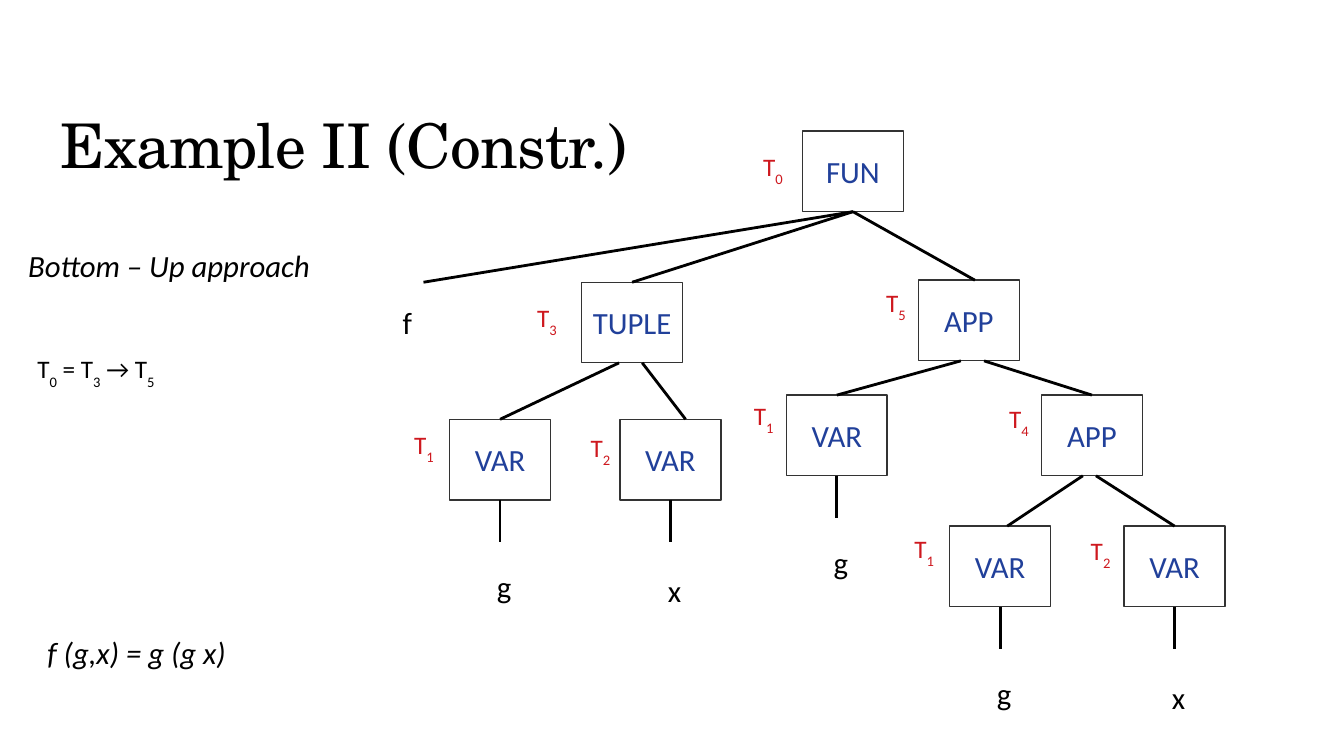
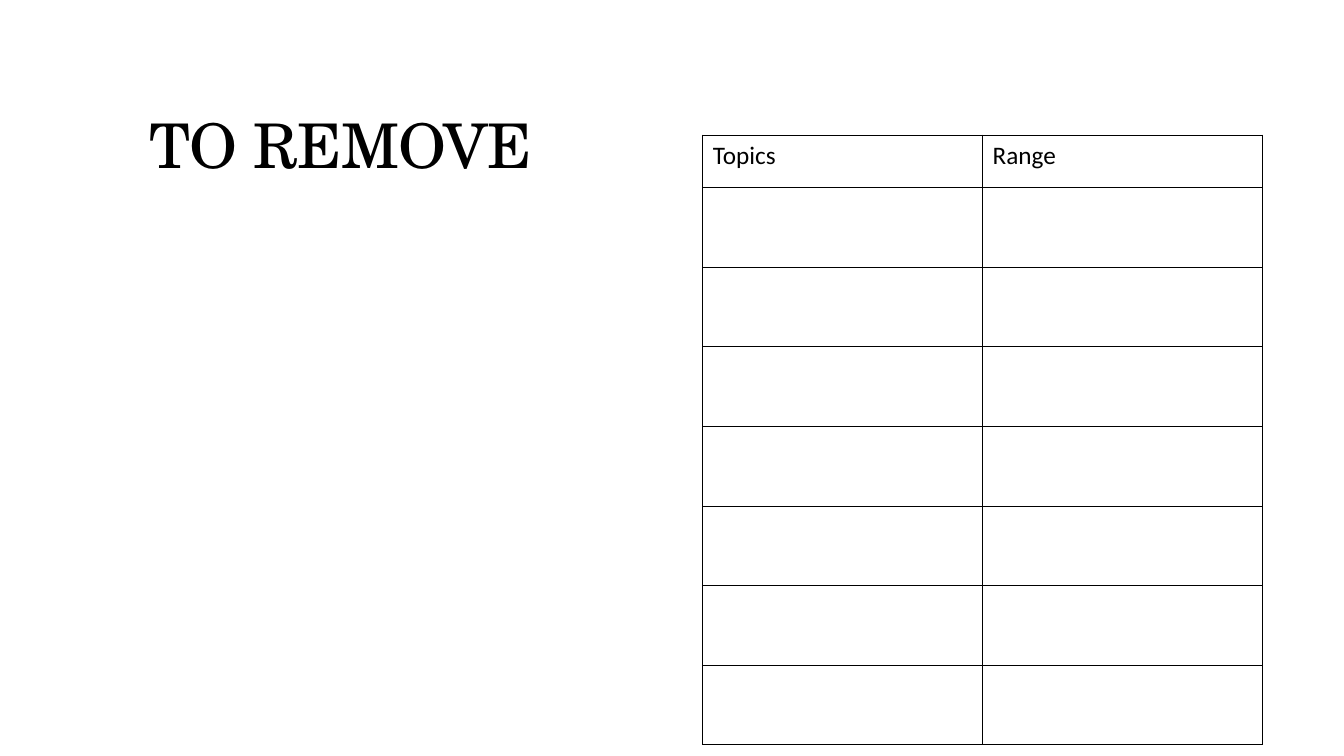
from dataclasses import dataclass

from lxml import etree
from pptx import Presentation
from pptx.dml.color import RGBColor
from pptx.enum.shapes import MSO_CONNECTOR, MSO_SHAPE
from pptx.enum.text import MSO_ANCHOR, PP_ALIGN
from pptx.oxml.ns import qn
from pptx.util import Inches, Pt

RECT, STRAIGHT = MSO_SHAPE.RECTANGLE, MSO_CONNECTOR.STRAIGHT
TOP, MIDDLE, BOTTOM = MSO_ANCHOR.TOP, MSO_ANCHOR.MIDDLE, MSO_ANCHOR.BOTTOM
LEFT, CENTER = PP_ALIGN.LEFT, PP_ALIGN.CENTER
SIDE_TOP, SIDE_BOTTOM = 0, 2


@dataclass(frozen=True)
class Theme:
    ink: str = "000000"
    node: str = "21409A"
    frame: str = "333333"
    tag: str = "CE181E"
    heading: str = "TeX Gyre Schola"
    body: str = "Calibri"
    title_size: int = 44
    text_size: int = 22
    small_size: int = 18


THEME = Theme()
SLIDE_W, SLIDE_H = 13.33, 7.5
NODE_W, NODE_H = 1, 0.8
TAG_W, TAG_H = 0.54, 0.65
STEM = 0.42
LEAF_DROP = {"g": 1.26, "x": 1.3}

# key: label, left, top, type number, type offset, leaf
NODES = {
    "fun": ("FUN", 4.46, 0, 0, (-0.49, 0.15), None),
    "tuple": ("TUPLE", 2.27, 1.5, 3, (-0.54, 0.15), None),
    "tuple_g": ("VAR", 0.96, 2.86, 1, (-0.45, 0.05), "g"),
    "tuple_x": ("VAR", 2.65, 2.86, 2, (-0.39, 0.08), "x"),
    "app": ("APP", 5.61, 1.48, 5, (-0.42, 0.02), None),
    "app_g": ("VAR", 4.3, 2.62, 1, (-0.42, 0), "g"),
    "inner": ("APP", 6.83, 2.62, 4, (-0.42, 0.03), None),
    "inner_g": ("VAR", 5.92, 3.92, 1, (-0.45, 0.02), "g"),
    "inner_x": ("VAR", 7.65, 3.92, 2, (-0.43, 0.04), "x"),
}
# parent, child, and how far each end lies from the middle of its side
EDGES = [
    ("fun", "f", 0, 0.16),
    ("fun", "tuple", 0, 0),
    ("fun", "app", 0, 0.06),
    ("tuple", "tuple_g", -0.13, 0),
    ("tuple", "tuple_x", 0.1, 0.15),
    ("app", "app_g", -0.08, 0),
    ("app", "inner", 0.15, 0),
    ("inner", "inner_g", -0.09, 0.07),
    ("inner", "inner_x", 0.04, 0),
]


def write(tf, text, size=THEME.text_size, color=THEME.ink, font=THEME.body,
          italic=False, align=LEFT, anchor=TOP, inset=(0.1, 0.05), wrap=True):
    """Fill a frame; the character after an underscore is a subscript."""
    mx, my = map(Inches, inset)
    frame = dict(margin_left=mx, margin_right=mx, margin_top=my,
                 margin_bottom=my, vertical_anchor=anchor, word_wrap=wrap)
    for name, value in frame.items():
        setattr(tf, name, value)
    p = tf.paragraphs[0]
    p.alignment = align
    first, *rest = text.split("_")
    pieces = [(first, False)]
    for part in rest:
        pieces += [(part[0], True), (part[1:], False)]
    for piece, subscript in pieces:
        if not piece:
            continue
        r = p.add_run()
        r.text = piece
        for name, value in dict(size=Pt(size), name=font, italic=italic).items():
            setattr(r.font, name, value)
        r.font.color.rgb = RGBColor.from_string(color)
        if subscript:
            r.font._element.set("baseline", "-33000")
    return p


def add_text(s, box, text, **style):
    sp = s.shapes.add_textbox(*map(Inches, box))
    write(sp.text_frame, text, **style)
    return sp


def add_title(s, text, left):
    sp = add_text(s, (left, 0.4, 10.6, 1.45), text, size=THEME.title_size,
                  font=THEME.heading, anchor=BOTTOM)
    p = sp.text_frame.paragraphs[0]
    p.line_spacing = 0.9
    p.runs[0].font._element.set("spc", "-50")


def add_line(s, start, end):
    line = s.shapes.add_connector(STRAIGHT, *map(Inches, (*start, *end)))
    line.line.color.rgb = RGBColor.from_string(THEME.ink)
    line.line.width = Pt(0)
    etree.SubElement(line._element.spPr, qn("a:effectLst"))
    return line


def add_node(s, x, y, label):
    sp = s.shapes.add_shape(RECT, *map(Inches, (x, y, NODE_W, NODE_H)))
    sp.shadow.inherit = False
    sp.fill.background()
    sp.line.color.rgb = RGBColor.from_string(THEME.frame)
    sp.line.width = Pt(1)
    write(sp.text_frame, label, color=THEME.node, align=CENTER,
          anchor=MIDDLE, inset=(0.11, 0.06), wrap=False)
    return sp


def add_leaf(s, x, y, text):
    add_text(s, (x, y, NODE_W, NODE_H), text, align=CENTER, anchor=MIDDLE)


def add_tree(s, left, top):
    """Draw the typed syntax tree from the top left corner of its region."""
    spots = {"f": (left + 0.04, top + 1.5)}
    boxes = {}
    add_leaf(s, *spots["f"], "f")
    for key, (label, dx, dy, number, offset, leaf) in NODES.items():
        x, y = spots[key] = left + dx, top + dy
        boxes[key] = add_node(s, x, y, label)
        add_text(s, (x + offset[0], y + offset[1], TAG_W, TAG_H),
                 f"T_{number}", size=THEME.small_size, color=THEME.tag)
        if leaf:
            mid, base = x + NODE_W / 2, y + NODE_H
            stem = add_line(s, (mid, base), (mid, base + STEM))
            stem.begin_connect(boxes[key], SIDE_BOTTOM)
            add_leaf(s, x + 0.04, y + LEAF_DROP[leaf], leaf)
    for parent, child, shift, child_shift in EDGES:
        (px, py), (cx, cy) = spots[parent], spots[child]
        line = add_line(s, (px + NODE_W / 2 + shift, py + NODE_H),
                        (cx + NODE_W / 2 + child_shift, cy))
        if not shift:
            line.begin_connect(boxes[parent], SIDE_BOTTOM)
        if not child_shift:
            line.end_connect(boxes[child], SIDE_TOP)


def add_border(cell):
    tcPr = cell._tc.get_or_add_tcPr()
    for i, side in enumerate(("lnL", "lnR", "lnT", "lnB")):
        ln = etree.Element(qn(f"a:{side}"), w=str(Pt(0.57)))
        fill = etree.SubElement(ln, qn("a:solidFill"))
        etree.SubElement(fill, qn("a:srgbClr"), val=THEME.ink)
        tcPr.insert(i, ln)


def add_topic_table(s, left, top, width, headers, blank_rows):
    head_h, row_h = 0.52, 0.79
    height = head_h + blank_rows * row_h
    table = s.shapes.add_table(blank_rows + 1, len(headers),
                               *map(Inches, (left, top, width, height))).table
    table.first_row = table.horz_banding = False
    for i, row in enumerate(table.rows):
        row.height = Inches(row_h if i else head_h)
    for cell in table.iter_cells():
        cell.fill.background()
        add_border(cell)
    for cell, header in zip(table.rows[0].cells, headers):
        write(cell.text_frame, header, size=THEME.small_size)
        cell.margin_left = cell.margin_right = Inches(0.1)
        cell.margin_top = cell.margin_bottom = Inches(0.05)


def build_example(s):
    add_title(s, "Example II (Constr.)", 0.5)
    flush = (0, 0.05)
    add_text(s, (0.28, 2.4, 5.02, 1.2), "Bottom – Up approach",
             italic=True, inset=flush)
    add_text(s, (0.37, 3.46, 5.02, 2.44), "T_0 = T_3 → T_5",
             size=THEME.small_size, inset=flush)
    add_text(s, (0.47, 6.24, 4.55, 1.2), "f (g,x) = g (g x)",
             italic=True, inset=flush)
    add_tree(s, 3.5, 1.3)


def build_topics(s):
    add_title(s, "TO REMOVE", 1.38)
    add_topic_table(s, 6.97, 1.34, 5.55, ("Topics", "Range"), 7)


def main():
    prs = Presentation()
    prs.slide_width, prs.slide_height = Inches(SLIDE_W), Inches(SLIDE_H)
    blank = prs.slide_layouts[6]
    for build in (build_example, build_topics):
        build(prs.slides.add_slide(blank))
    prs.save("out.pptx")


if __name__ == "__main__":
    main()
